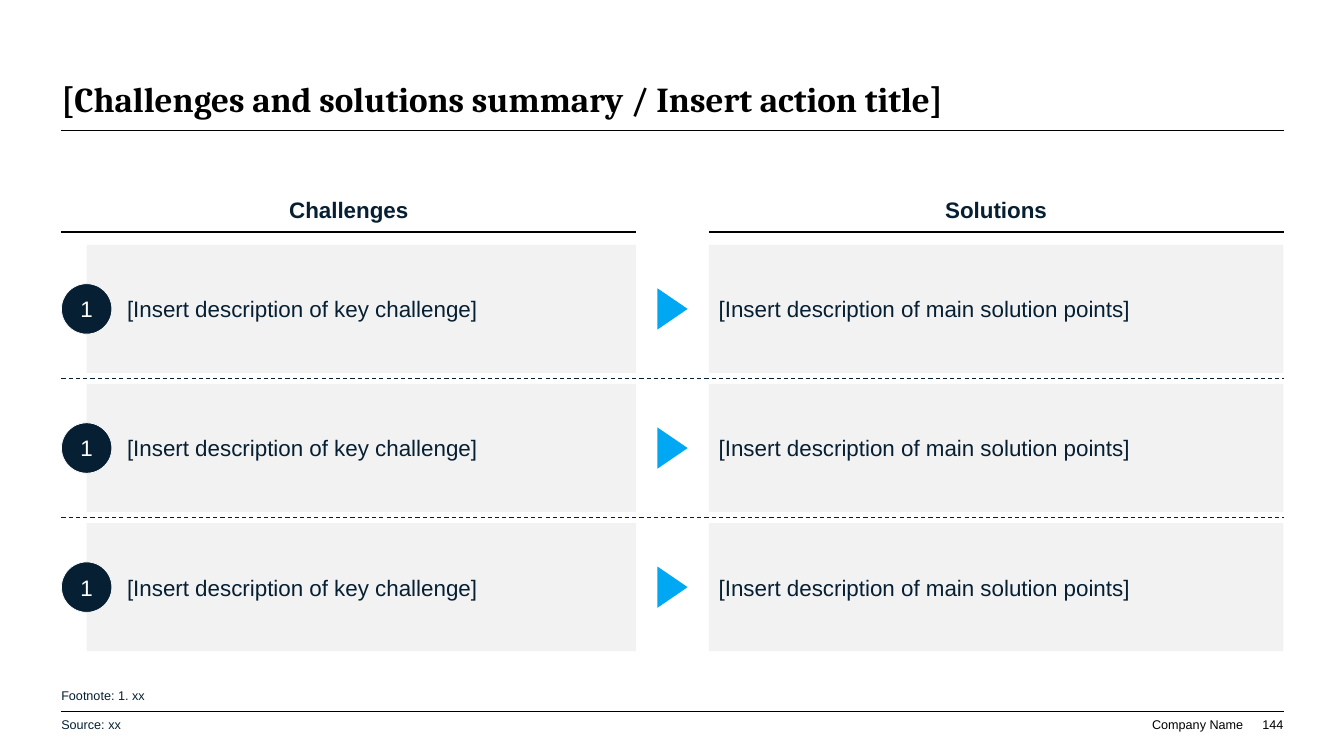
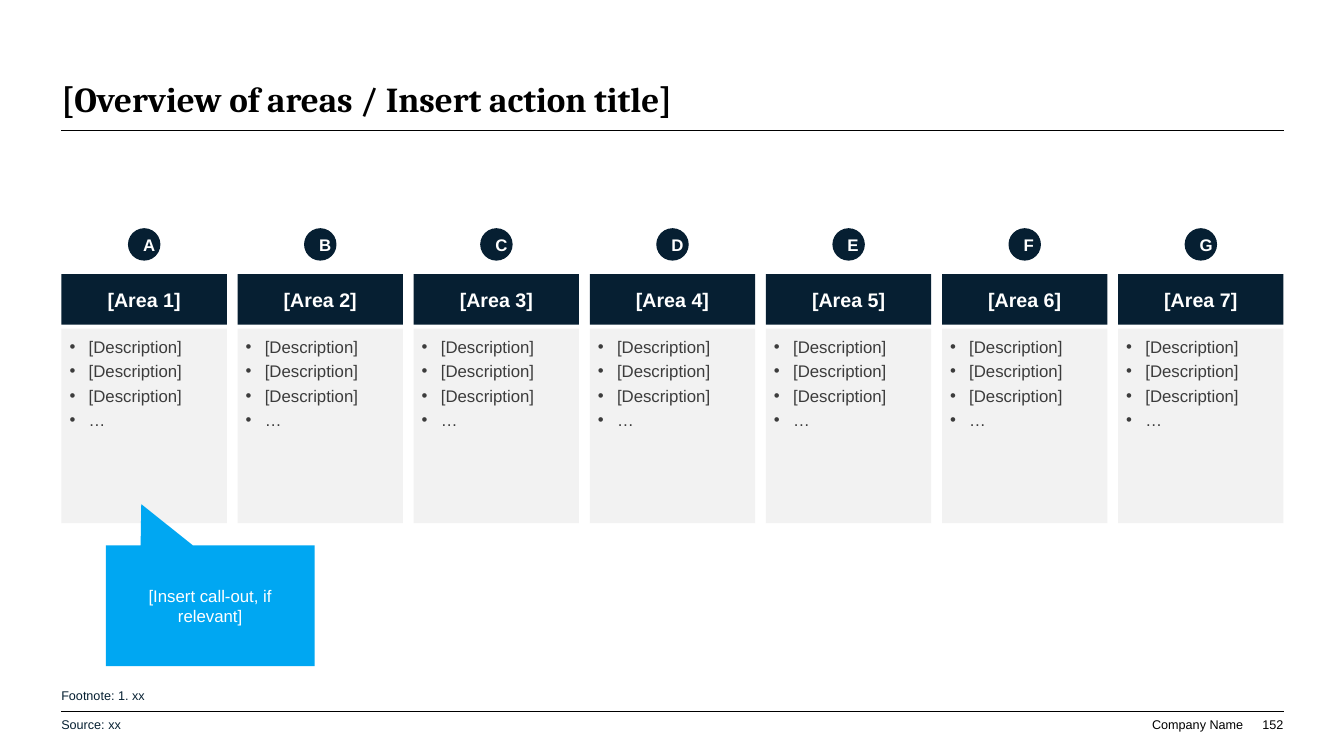
from dataclasses import dataclass
from typing import NamedTuple

from lxml.etree import SubElement
from pptx import Presentation
from pptx.dml.color import RGBColor
from pptx.enum.dml import MSO_LINE
from pptx.enum.shapes import MSO_CONNECTOR, MSO_SHAPE
from pptx.enum.text import MSO_ANCHOR, MSO_AUTO_SIZE, PP_ALIGN
from pptx.oxml.ns import qn
from pptx.shapes.autoshape import Shape
from pptx.slide import Slide
from pptx.util import Inches, Pt


@dataclass(frozen=True)
class Theme:
    black: str = "000000"
    white: str = "FFFFFF"
    navy: str = "061F32"
    note: str = "062032"
    grey: str = "3C3C3C"
    panel: str = "F2F2F2"
    accent: str = "00A7F2"
    title_font: str = "Cambria"
    body_font: str = "Arial"
    title_size: float = 25
    large_size: float = 16
    header_size: float = 14
    body_size: float = 12
    note_size: float = 9


THEME = Theme()


class Box(NamedTuple):
    left: float
    top: float
    width: float
    height: float

    def lengths(self) -> list[Inches]:
        return [Inches(value) for value in self]


@dataclass(frozen=True)
class TextStyle:
    size: float
    color: str
    bold: bool = False
    font: str = THEME.body_font
    align: PP_ALIGN = PP_ALIGN.LEFT
    anchor: MSO_ANCHOR = MSO_ANCHOR.MIDDLE
    insets: tuple[float, float, float, float] = (0.1, 0.05, 0.1, 0.05)
    space_after: float = 0
    bulleted: bool = False
    wrap: bool = True


class Row(NamedTuple):
    number: str
    challenge: str
    solution: str


class Area(NamedTuple):
    letter: str
    name: str
    points: list[str]


LEFT, RIGHT = 0.61, 12.73
CONTENT_WIDTH = RIGHT - LEFT
FLUSH = (0, 0, 0, 0)

TITLE = TextStyle(THEME.title_size, THEME.black, bold=True, font=THEME.title_font,
                  anchor=MSO_ANCHOR.BOTTOM, insets=FLUSH)
NOTE = TextStyle(THEME.note_size, THEME.note)
FOOTER = TextStyle(THEME.note_size, THEME.black, align=PP_ALIGN.RIGHT,
                   anchor=MSO_ANCHOR.BOTTOM, insets=FLUSH, wrap=False)
HEADING = TextStyle(THEME.large_size, THEME.navy, bold=True, align=PP_ALIGN.CENTER)
CHALLENGE = TextStyle(THEME.large_size, THEME.navy, insets=(0.4, 0.1, 0.1, 0.1),
                      space_after=6)
SOLUTION = TextStyle(THEME.large_size, THEME.navy, insets=(0.1, 0.1, 0.1, 0.1),
                     space_after=6)
NUMBER = TextStyle(THEME.large_size, THEME.white, align=PP_ALIGN.CENTER,
                   insets=(0, 0.05, 0, 0.05))
LETTER = TextStyle(THEME.body_size, THEME.white, bold=True, align=PP_ALIGN.CENTER)
AREA_NAME = TextStyle(THEME.header_size, THEME.white, bold=True,
                      align=PP_ALIGN.CENTER, insets=(0.08,) * 4)
AREA_POINTS = TextStyle(THEME.body_size, THEME.grey, anchor=MSO_ANCHOR.TOP,
                        insets=(0.08,) * 4, space_after=3, bulleted=True)
CALLOUT = TextStyle(THEME.body_size, THEME.white, align=PP_ALIGN.CENTER)

ROWS = [Row("1", "[Insert description of key challenge]",
            "[Insert description of main solution points]")] * 3
AREAS = [Area(letter, f"[Area {position}]", ["[Description]"] * 3 + ["…"])
         for position, letter in enumerate("ABCDEFG", start=1)]


def rgb(color: str) -> RGBColor:
    return RGBColor.from_string(color)


def write(target: Shape, lines: list[str], style: TextStyle) -> None:
    frame = target.text_frame
    frame.auto_size = MSO_AUTO_SIZE.NONE
    frame.word_wrap = style.wrap
    frame.vertical_anchor = style.anchor
    (frame.margin_left, frame.margin_top,
     frame.margin_right, frame.margin_bottom) = map(Inches, style.insets)
    for index, line in enumerate(lines):
        paragraph = frame.add_paragraph() if index else frame.paragraphs[0]
        if style.bulleted:
            properties = paragraph._p.get_or_add_pPr()
            properties.set("marL", str(Inches(0.19)))
            properties.set("indent", str(Inches(-0.19)))
            SubElement(properties, qn("a:buFont"), typeface=style.font)
            SubElement(properties, qn("a:buChar"), char="•")
        paragraph.alignment = style.align
        paragraph.space_after = Pt(style.space_after)
        run = paragraph.add_run()
        run.text = line
        run.font.name = style.font
        run.font.size = Pt(style.size)
        run.font.bold = style.bold
        run.font.color.rgb = rgb(style.color)


def add_label(slide: Slide, box: Box, text: str, style: TextStyle) -> None:
    write(slide.shapes.add_textbox(*box.lengths()), [text], style)


def add_block(slide: Slide, preset: MSO_SHAPE, box: Box, fill: str,
              outline: str | None = None, outline_width: float = 0.5) -> Shape:
    block = slide.shapes.add_shape(preset, *box.lengths())
    block.shadow.inherit = False
    block.fill.solid()
    block.fill.fore_color.rgb = rgb(fill)
    if outline:
        block.line.color.rgb = rgb(outline)
        block.line.width = Pt(outline_width)
    else:
        block.line.fill.background()
    return block


def add_rule(slide: Slide, y: float, left: float = LEFT, right: float = RIGHT,
             color: str = THEME.black, width: float = 0.5, dashed: bool = False) -> None:
    """Draw a horizontal line."""
    rule = slide.shapes.add_connector(MSO_CONNECTOR.STRAIGHT, Inches(left), Inches(y),
                                      Inches(right), Inches(y))
    rule.line.color.rgb = rgb(color)
    rule.line.width = Pt(width)
    if dashed:
        rule.line.dash_style = MSO_LINE.DASH
    SubElement(rule._element.spPr, qn("a:effectLst"))


def add_page(deck: Presentation, title: str, page_number: str) -> Slide:
    """Add a slide with the shared title, rules, notes and footer."""
    slide = deck.slides.add_slide(deck.slide_layouts.get_by_name("Title Only"))
    heading = slide.shapes.title
    (heading.left, heading.top,
     heading.width, heading.height) = Box(LEFT, 0.39, CONTENT_WIDTH, 0.8).lengths()
    write(heading, [title], TITLE)
    add_rule(slide, 1.29)
    add_rule(slide, 7.06)
    add_label(slide, Box(0.51, 6.7, 10.27, 0.4), "Footnote: 1. xx", NOTE)
    add_label(slide, Box(0.51, 6.99, 7.98, 0.4), "Source: xx", NOTE)
    add_label(slide, Box(11.42, 7.11, 0.91, 0.15), "Company Name", FOOTER)
    add_label(slide, Box(12.37, 7.11, 0.36, 0.15), page_number, FOOTER)
    return slide


def build_challenges(deck: Presentation) -> None:
    slide = add_page(deck, "[Challenges and solutions summary / Insert action title]", "144")
    column_width, badge_size = 5.7, 0.5
    solution_left = RIGHT - column_width
    for text, left in (("Challenges", LEFT), ("Solutions", solution_left)):
        add_label(slide, Box(left, 1.87, column_width, 0.42), text, HEADING)
        add_rule(slide, 2.3, left, left + column_width, width=1.25)

    first_top, row_height, gap = 2.43, 1.27, 0.11
    challenge_left = LEFT + badge_size / 2
    challenge_width = column_width - badge_size / 2
    arrow_width, arrow_height = 0.41, 0.3
    arrow_left = (LEFT + column_width + solution_left - arrow_width) / 2
    for index, row in enumerate(ROWS):
        top = first_top + index * (row_height + gap)
        middle = top + row_height / 2
        if index:
            add_rule(slide, top - gap / 2, color=THEME.navy, width=0.75, dashed=True)
        challenge = add_block(slide, MSO_SHAPE.RECTANGLE,
                              Box(challenge_left, top, challenge_width, row_height),
                              THEME.panel)
        write(challenge, [row.challenge], CHALLENGE)
        solution = add_block(slide, MSO_SHAPE.RECTANGLE,
                             Box(solution_left, top, column_width, row_height),
                             THEME.panel)
        write(solution, [row.solution], SOLUTION)
        arrow = add_block(slide, MSO_SHAPE.ISOSCELES_TRIANGLE,
                          Box(arrow_left, middle - arrow_height / 2,
                              arrow_width, arrow_height), THEME.accent)
        arrow.rotation = 90
        badge = add_block(slide, MSO_SHAPE.OVAL,
                          Box(LEFT, middle - badge_size / 2, badge_size, badge_size),
                          THEME.navy, outline=THEME.white)
        write(badge, [row.number], NUMBER)


def build_areas(deck: Presentation) -> None:
    slide = add_page(deck, "[Overview of areas / Insert action title]", "152")
    area_width, badge_size = 1.64, 0.31
    pitch = (CONTENT_WIDTH - area_width) / (len(AREAS) - 1)
    for index, area in enumerate(AREAS):
        left = LEFT + index * pitch
        badge = add_block(slide, MSO_SHAPE.OVAL,
                          Box(left + (area_width - badge_size) / 2, 2.27,
                              badge_size, badge_size),
                          THEME.navy, outline=THEME.navy, outline_width=0.85)
        write(badge, [area.letter], LETTER)
        header = add_block(slide, MSO_SHAPE.RECTANGLE,
                           Box(left, 2.72, area_width, 0.5), THEME.navy)
        write(header, [area.name], AREA_NAME)
        panel = add_block(slide, MSO_SHAPE.RECTANGLE,
                          Box(left, 3.26, area_width, 1.93), THEME.panel)
        write(panel, area.points, AREA_POINTS)

    callout = add_block(slide, MSO_SHAPE.RECTANGULAR_CALLOUT,
                        Box(1.05, 5.41, 2.07, 1.2), THEME.accent)
    callout.adjustments[0] = -0.33
    callout.adjustments[1] = -0.84
    write(callout, ["[Insert call-out, if relevant]"], CALLOUT)


def main() -> None:
    deck = Presentation()
    deck.slide_width, deck.slide_height = Inches(13.33), Inches(7.5)
    build_challenges(deck)
    build_areas(deck)
    deck.save("out.pptx")


if __name__ == "__main__":
    main()
